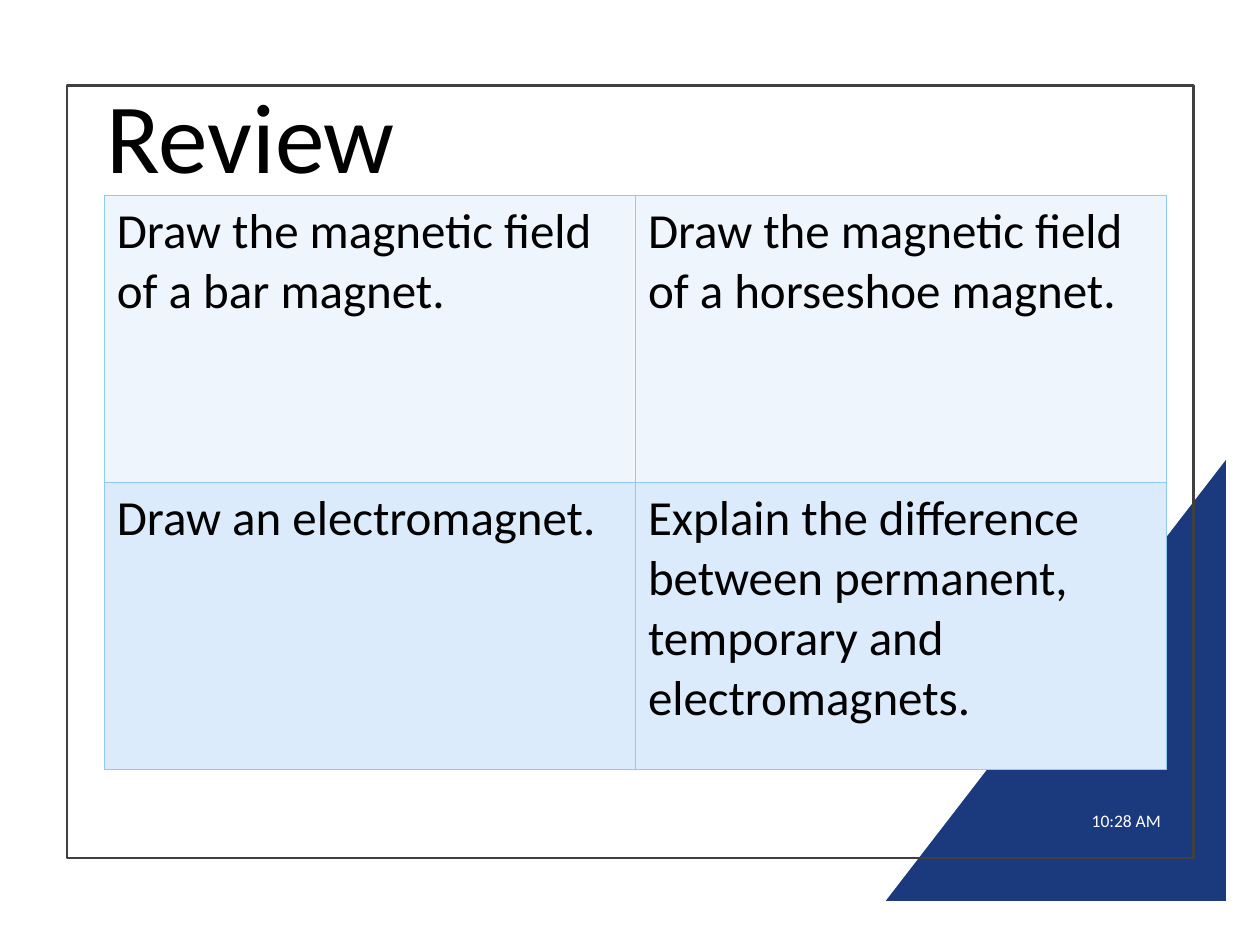
from dataclasses import dataclass

from lxml.etree import SubElement
from pptx import Presentation
from pptx.dml.color import RGBColor
from pptx.enum.shapes import MSO_SHAPE as Shape
from pptx.enum.text import MSO_ANCHOR as Anchor, PP_ALIGN as Align
from pptx.oxml.ns import qn
from pptx.util import Pt


@dataclass(frozen=True)
class Theme:
    font: str = "Calibri"
    ink: str = "000000"
    light: str = "FFFFFF"
    navy: str = "1B3A7E"
    frame: str = "404040"
    grid: str = "8FC9F4"
    bands: tuple = ("EEF5FD", "DBEBFB")
    title_size: float = 56.7
    body_size: float = 28
    small_size: float = 10


class SlideBuilder:
    def __init__(self, slide, theme):
        self.slide = slide
        self.theme = theme

    def add_run(self, paragraph, text, size, color):
        run = paragraph.add_run()
        run.text = text
        run.font.name = self.theme.font
        run.font.size = Pt(size)
        run.font.color.rgb = RGBColor.from_string(color)

    def shape(self, kind, box, fill=None, line=None, flip=False):
        shape = self.slide.shapes.add_shape(kind, *map(Pt, box))
        shape.shadow.inherit = False
        if fill:
            shape.fill.solid()
            shape.fill.fore_color.rgb = RGBColor.from_string(fill)
        else:
            shape.fill.background()
        if line:
            shape.line.color.rgb = RGBColor.from_string(line)
            shape.line.width = Pt(1.5)
        else:
            shape.line.fill.background()
        if flip:
            shape._element.spPr.xfrm.set("flipH", "1")

    def text(self, box, text, size, color, align=Align.LEFT, spacing=1.0, after=0):
        frame = self.slide.shapes.add_textbox(*map(Pt, box)).text_frame
        frame.word_wrap = True
        frame.vertical_anchor = Anchor.MIDDLE
        paragraph = frame.paragraphs[0]
        paragraph.alignment = align
        paragraph.line_spacing = spacing
        paragraph.space_after = Pt(after)
        self.add_run(paragraph, text, size, color)

    def border(self, cell):
        properties = cell._tc.get_or_add_tcPr()
        for position, side in enumerate(("lnL", "lnR", "lnT", "lnB")):
            line = SubElement(properties, qn(f"a:{side}"), w=str(Pt(1)))
            fill = SubElement(line, qn("a:solidFill"))
            SubElement(fill, qn("a:srgbClr"), val=self.theme.grid)
            properties.insert(position, line)

    def table(self, box, rows):
        graphic = self.slide.shapes.add_table(len(rows), len(rows[0]), *map(Pt, box))
        table = graphic.table
        for row_index, (row, band) in enumerate(zip(rows, self.theme.bands)):
            for column_index, text in enumerate(row):
                cell = table.cell(row_index, column_index)
                cell.fill.solid()
                cell.fill.fore_color.rgb = RGBColor.from_string(band)
                self.border(cell)
                paragraph = cell.text_frame.paragraphs[0]
                self.add_run(paragraph, text, self.theme.body_size, self.theme.ink)
                paragraph.runs[0].font.bold = False


def main():
    presentation = Presentation()
    presentation.slide_width = Pt(720)
    presentation.slide_height = Pt(540)
    slide = presentation.slides.add_slide(presentation.slide_layouts[6])
    theme = Theme()
    builder = SlideBuilder(slide, theme)

    builder.shape(Shape.RIGHT_TRIANGLE, (506.2, 262.8, 194.4, 252), fill=theme.navy, flip=True)
    builder.shape(Shape.RECTANGLE, (38.2, 49, 643.7, 441.4), line=theme.frame)
    builder.text((54, 54, 493.2, 53.3), "Review", theme.title_size, theme.ink, spacing=0.9)
    builder.text((533.5, 454.3, 136.8, 28.8), "10:28 AM", theme.small_size, theme.light,
                 align=Align.RIGHT, after=6)
    builder.table((59.6, 111.6, 607, 328.3), [
        ["Draw the magnetic field of a bar magnet.",
         "Draw the magnetic field of a horseshoe magnet."],
        ["Draw an electromagnet.",
         "Explain the difference between permanent, temporary and electromagnets."],
    ])
    presentation.save("out.pptx")


if __name__ == "__main__":
    main()
